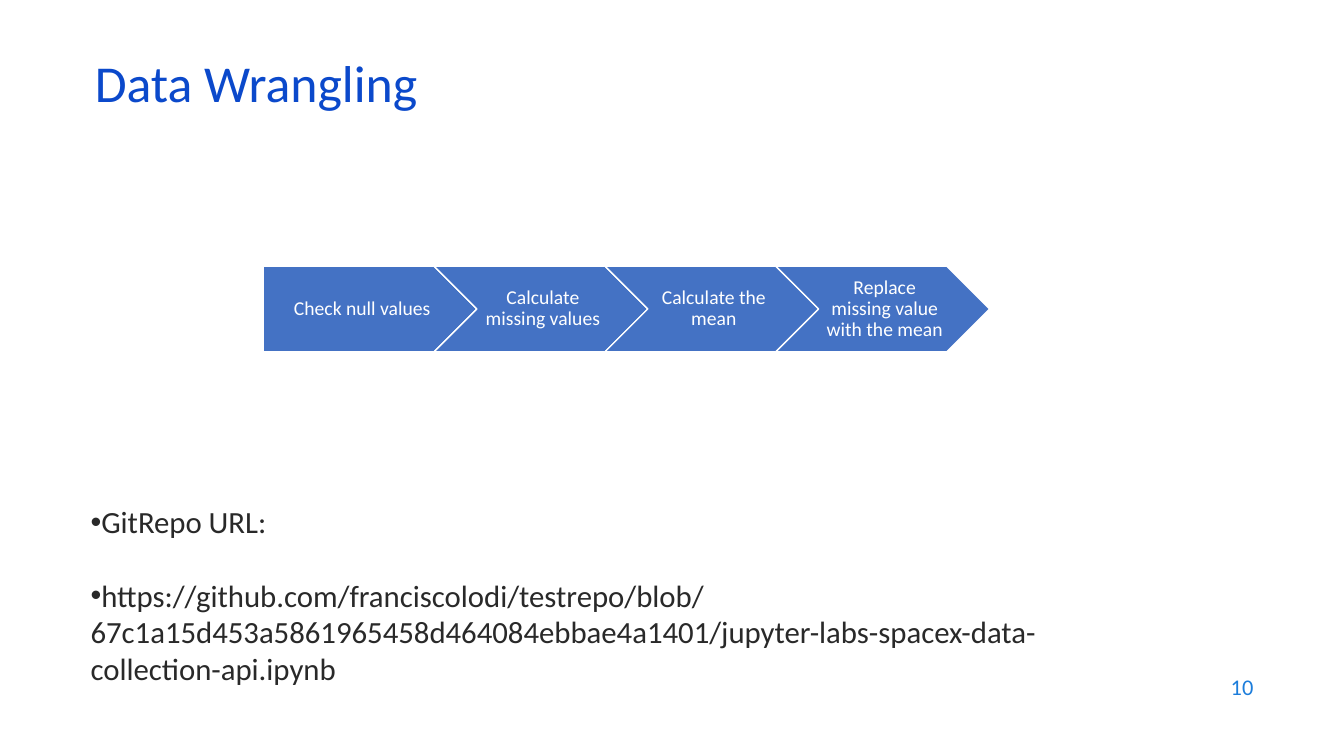
from pptx import Presentation
from pptx.dml.color import RGBColor
from pptx.enum.shapes import MSO_SHAPE
from pptx.enum.text import MSO_ANCHOR, PP_ALIGN
from pptx.oxml.ns import qn
from pptx.util import Inches, Pt
from lxml.etree import SubElement

THEME = {
    "font": "Calibri",
    "title": (37, RGBColor(0x0B, 0x49, 0xCB)),
    "body": (22, RGBColor(0x29, 0x29, 0x29)),
    "step": (14, RGBColor(0xFF, 0xFF, 0xFF)),
    "number": (16, RGBColor(0x1C, 0x7D, 0xDB)),
    "step_fill": RGBColor(0x44, 0x72, 0xC4),
    "step_line": RGBColor(0xFF, 0xFF, 0xFF),
}


def add_text(paragraph, text, style, alignment=PP_ALIGN.LEFT, line_spacing=1.0):
    paragraph.alignment = alignment
    paragraph.line_spacing = line_spacing
    run = paragraph.add_run()
    run.text = text
    run.font.name = THEME["font"]
    run.font.size = Pt(THEME[style][0])
    run.font.color.rgb = THEME[style][1]


presentation = Presentation()
presentation.slide_width = Inches(13.33)
presentation.slide_height = Inches(7.5)
slide = presentation.slides.add_slide(presentation.slide_layouts[5])

title = slide.shapes.title
title.left, title.top = Inches(0.84), Inches(0.59)
title.width, title.height = Inches(11.5), Inches(0.6)
title.text_frame.vertical_anchor = MSO_ANCHOR.MIDDLE
add_text(title.text_frame.paragraphs[0], "Data Wrangling", "title", line_spacing=0.7)

steps = [
    "Check null values",
    "Calculate missing values",
    "Calculate the mean",
    "Replace missing value with the mean",
]
for index, step in enumerate(steps):
    outline = MSO_SHAPE.CHEVRON if index else MSO_SHAPE.PENTAGON
    shape = slide.shapes.add_shape(
        outline, Inches(2.61 + 1.695 * index), Inches(2.64), Inches(2.12), Inches(0.85)
    )
    shape.shadow.inherit = False
    shape.fill.solid()
    shape.fill.fore_color.rgb = THEME["step_fill"]
    shape.line.color.rgb = THEME["step_line"]
    shape.line.width = Pt(1)
    frame = shape.text_frame
    frame.word_wrap = True
    frame.vertical_anchor = MSO_ANCHOR.MIDDLE
    frame.margin_left = Inches(0.06 if index else 0.08)
    frame.margin_right = Inches(0.02)
    frame.margin_top = frame.margin_bottom = Inches(0.04)
    add_text(frame.paragraphs[0], step, "step", PP_ALIGN.CENTER, 0.9)

links = [
    "GitRepo URL:",
    "https://github.com/franciscolodi/testrepo/blob/67c1a15d453a5861965458d464084ebbae4a1401/jupyter-labs-spacex-data-collection-api.ipynb",
]
link_box = slide.shapes.add_textbox(Inches(0.8), Inches(4.94), Inches(9.82), Inches(2.4))
frame = link_box.text_frame
frame.word_wrap = True
for index, link in enumerate(links):
    paragraph = frame.add_paragraph() if index else frame.paragraphs[0]
    properties = paragraph._p.get_or_add_pPr()
    properties.set("marL", "0")
    properties.set("indent", "0")
    SubElement(properties, qn("a:buFont")).set("typeface", "Arial")
    SubElement(properties, qn("a:buChar")).set("char", "•")
    paragraph.space_before = Pt(26 if index else 0)
    add_text(paragraph, link, "body")

number_box = slide.shapes.add_textbox(Inches(9.53), Inches(6.59), Inches(3), Inches(0.44))
number_box.text_frame.word_wrap = True
number_box.text_frame.vertical_anchor = MSO_ANCHOR.MIDDLE
add_text(number_box.text_frame.paragraphs[0], "10", "number", PP_ALIGN.RIGHT)

presentation.save("out.pptx")
